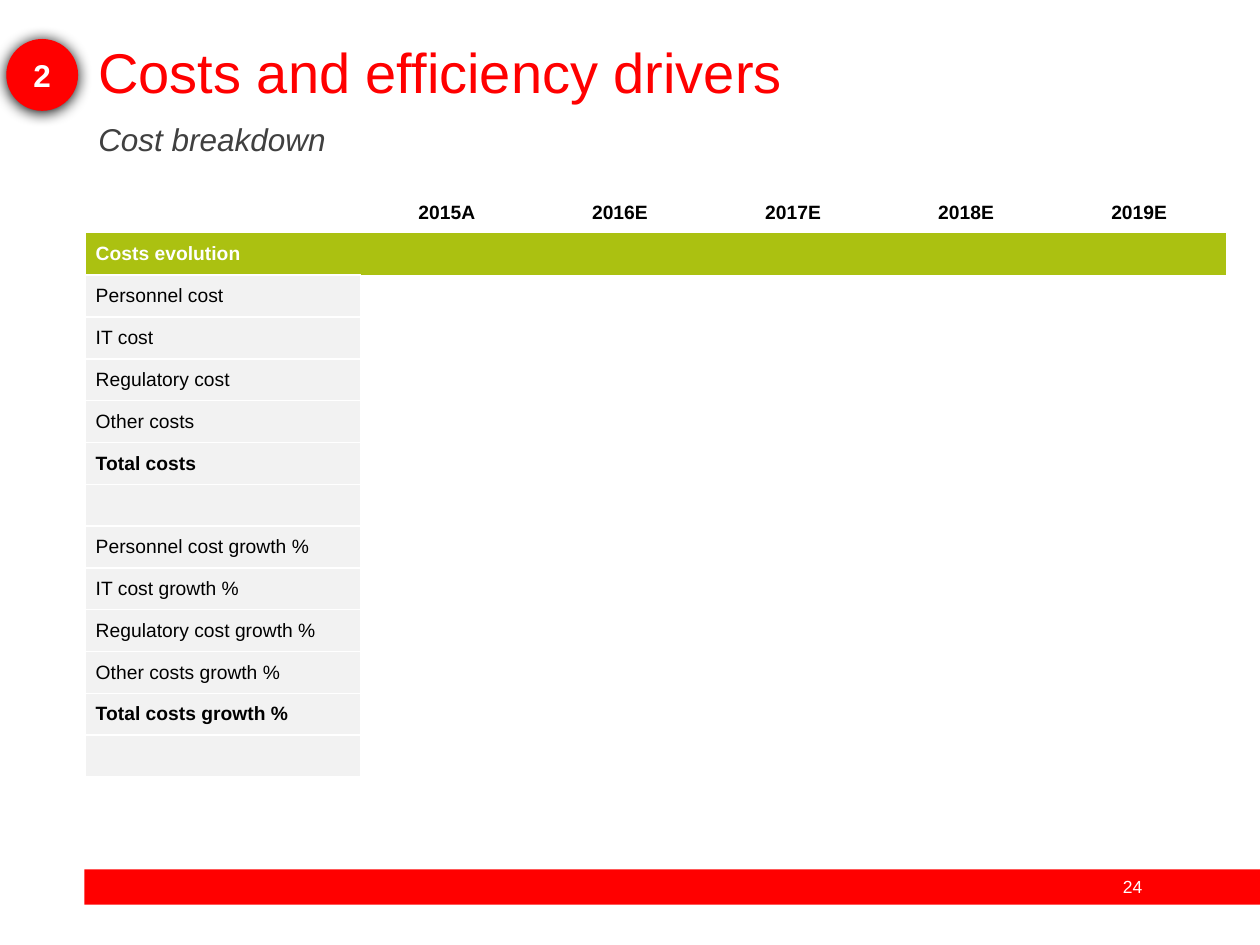
from dataclasses import dataclass

from lxml import etree
from pptx import Presentation
from pptx.dml.color import RGBColor
from pptx.enum.shapes import MSO_SHAPE
from pptx.enum.text import MSO_ANCHOR, MSO_AUTO_SIZE, PP_ALIGN
from pptx.oxml.ns import qn
from pptx.util import Inches, Pt

RECT, OVAL = MSO_SHAPE.RECTANGLE, MSO_SHAPE.OVAL
TOP, MIDDLE = MSO_ANCHOR.TOP, MSO_ANCHOR.MIDDLE
LEFT, CENTER = PP_ALIGN.LEFT, PP_ALIGN.CENTER
FIXED = MSO_AUTO_SIZE.NONE
PLAIN = "{2D5ABB26-0587-4C30-8999-92F81FD0307C}"  # table style without lines or fills


@dataclass(frozen=True)
class Theme:
    face: str = "Arial"
    red: str = "FF0000"
    green: str = "ABC111"
    pale: str = "F2F2F2"
    gray: str = "404040"
    white: str = "FFFFFF"
    black: str = "000000"
    head: int = 32
    sub: int = 18
    cell: int = 11
    page: int = 10


THEME = Theme()
YEARS = ["2015A", "2016E", "2017E", "2018E", "2019E"]
COSTS = ["Personnel cost", "IT cost", "Regulatory cost", "Other costs", "Total costs"]
LABELS = [*COSTS, "", *(f"{cost} growth %" for cost in COSTS), ""]


def write(frame, text, size, color, align=LEFT, **extra):
    para = frame.paragraphs[0]
    para.alignment = align
    run = para.add_run()
    run.text = text
    form = {"name": THEME.face, "size": Pt(size), **extra}
    for key, value in form.items():
        setattr(run.font, key, value)
    run.font.color.rgb = RGBColor.from_string(color)
    return para


def paint(item, color):
    item.fill.solid()
    item.fill.fore_color.rgb = RGBColor.from_string(color)


def place(shape, box):
    for key, value in zip(("left", "top", "width", "height"), box):
        setattr(shape, key, Inches(value))


def add_flat(slide, kind, box):
    shape = slide.shapes.add_shape(kind, *map(Inches, box))
    shape.shadow.inherit = False
    paint(shape, THEME.red)
    shape.line.fill.background()
    return shape


def add_head(holder, box, text, size, color, **extra):
    place(holder, box)
    frame = holder.text_frame
    frame.auto_size = FIXED
    frame.vertical_anchor = TOP
    para = write(frame, text, size, color, **extra)
    props = para._p.get_or_add_pPr()
    props.set("marL", "0")
    props.set("indent", "0")
    etree.SubElement(props, qn("a:buNone"))
    para.line_spacing = 0.9
    para.space_before = Pt(0)


def add_foot(slide, box):
    left, top, width, height = box
    add_flat(slide, RECT, box)
    page = slide.shapes.add_textbox(*map(Inches, (left + 8.04, top, 0.56, height)))
    page.text_frame.word_wrap = True
    write(page.text_frame, "24", THEME.page, THEME.white, CENTER)


def add_badge(slide, box):
    badge = add_flat(slide, OVAL, box)
    frame = badge.text_frame
    frame.vertical_anchor = MIDDLE
    frame.margin_left = frame.margin_right = 0
    write(frame, "2", THEME.sub, THEME.white, CENTER, bold=True)
    glow = badge._element.spPr.find(qn("a:effectLst"))
    shade = etree.SubElement(glow, qn("a:outerShdw"), blurRad=str(Pt(8.5)),
                             dist=str(Pt(1)), dir="5400000", rotWithShape="0")
    etree.SubElement(shade, qn("a:srgbClr"), val=THEME.black)


def edge(cell, color):
    """Draw a thin line on all four sides of a cell."""
    props = cell._tc.get_or_add_tcPr()
    for spot, side in enumerate(("a:lnL", "a:lnR", "a:lnT", "a:lnB")):
        line = etree.Element(qn(side), w=str(Pt(1)))
        fill = etree.SubElement(line, qn("a:solidFill"))
        etree.SubElement(fill, qn("a:srgbClr"), val=color)
        props.insert(spot, line)


def fill_cell(cell, text, color=THEME.black, align=LEFT, bold=False):
    cell.margin_left = Inches(0.08 if align == LEFT else 0)
    if text:
        write(cell.text_frame, text, THEME.cell, color, align, bold=bold)


def add_costs(slide, box):
    left, top, width, height = box
    rows, cols = len(LABELS) + 2, len(YEARS) + 1
    shape = slide.shapes.add_table(rows, cols, *map(Inches, box))
    table = shape.table
    table.first_row = table.horz_banding = False
    table._tbl.tblPr.find(qn("a:tableStyleId")).text = PLAIN
    first = 2.18
    for spot, col in enumerate(table.columns):
        col.width = Inches((width - first) / len(YEARS) if spot else first)
    for row in table.rows:
        row.height = Inches(height / rows)
    for cell in table.iter_cells():
        cell.vertical_anchor = MIDDLE
        for side in ("left", "right", "top", "bottom"):
            setattr(cell, f"margin_{side}", 0)
    for col, year in enumerate(YEARS, 1):
        fill_cell(table.cell(0, col), year, align=CENTER, bold=True)
    for col in range(cols):
        paint(table.cell(1, col), THEME.green)
    fill_cell(table.cell(1, 0), "Costs evolution", THEME.white, bold=True)
    for row, label in enumerate(LABELS, 2):
        cell = table.cell(row, 0)
        paint(cell, THEME.pale)
        edge(cell, THEME.white)
        fill_cell(cell, label, bold=label.startswith("Total"))


def main():
    deck = Presentation()
    deck.slide_width, deck.slide_height = Inches(10), Inches(7.5)
    slide = deck.slides.add_slide(deck.slide_layouts[1])
    title, body = slide.placeholders
    add_foot(slide, (0.67, 6.9, 9.33, 0.28))
    add_head(title, (0.68, 0.31, 9.32, 0.57), "Costs and efficiency drivers",
             THEME.head, THEME.red)
    add_head(body, (0.68, 0.94, 8.63, 0.41), "Cost breakdown",
             THEME.sub, THEME.gray, italic=True)
    add_costs(slide, (0.68, 1.52, 9.05, 4.65))
    add_badge(slide, (0.05, 0.31, 0.57, 0.57))
    deck.save("out.pptx")


if __name__ == "__main__":
    main()
